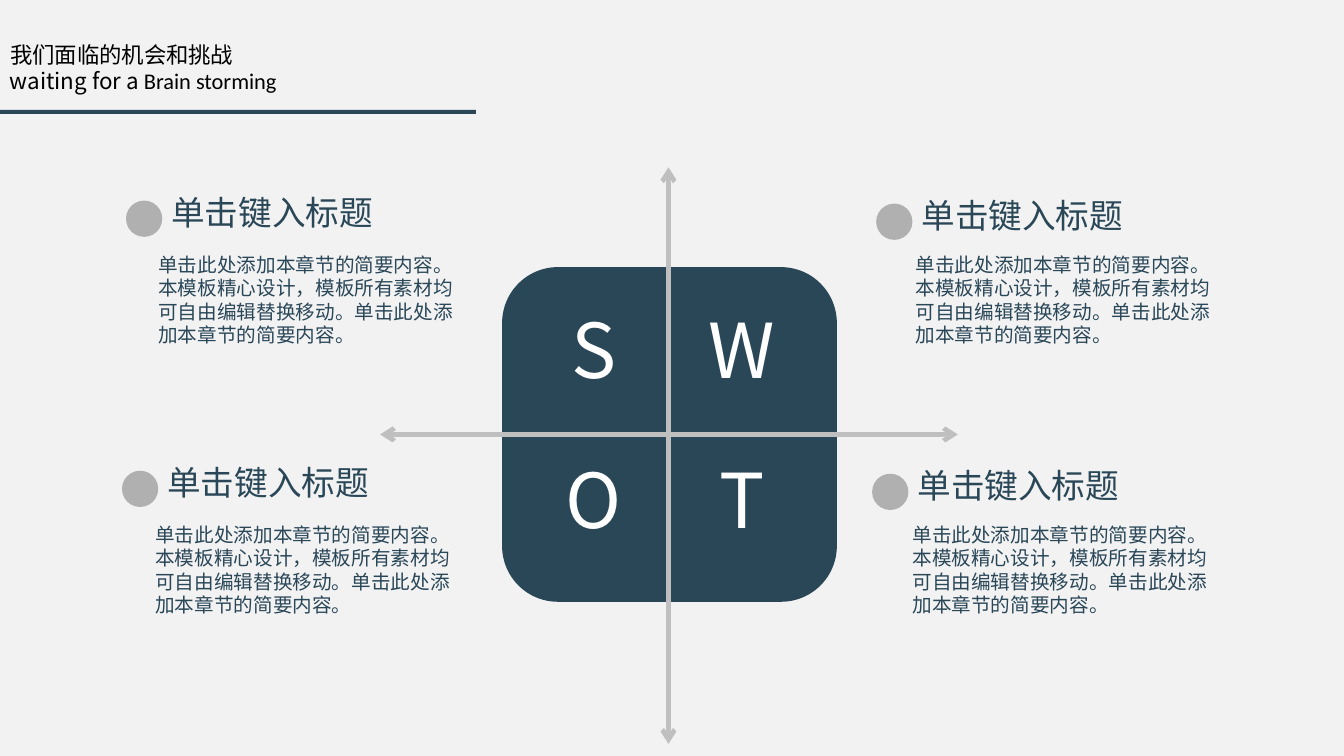
from lxml import etree
from pptx import Presentation
from pptx.dml.color import RGBColor
from pptx.enum.shapes import MSO_CONNECTOR, MSO_SHAPE
from pptx.enum.text import MSO_ANCHOR, MSO_AUTO_SIZE, PP_ALIGN
from pptx.oxml.ns import qn
from pptx.util import Inches, Pt

LINE = MSO_CONNECTOR.STRAIGHT
RECT, ROUND, OVAL = MSO_SHAPE.RECTANGLE, MSO_SHAPE.ROUNDED_RECTANGLE, MSO_SHAPE.OVAL
LEFT, MID = PP_ALIGN.LEFT, PP_ALIGN.CENTER

SANS, LATIN = "Noto Sans CJK SC", "Calibri"
NAVY, GREY, DOT, BACK = "2A4758", "BFBFBF", "B0B0B0", "F2F2F2"
WHITE, BLACK = "FFFFFF", "000000"

TITLE = [("我们面临的机会和挑战", SANS)]
SUB = [("waiting for a ", SANS), ("Brain storming", LATIN)]
HEAD = "单击键入标题"
BODY = "单击此处添加本章节的简要内容。本模板精心设计，模板所有素材均可自由编辑替换移动。单击此处添加本章节的简要内容。"
NOTES = [
    ((1.25, 1.99), (1.57, 2.51)),
    ((1.21, 4.67), (1.54, 5.19)),
    ((8.69, 2.02), (9.08, 2.51)),
    ((8.65, 4.7), (9.05, 5.19)),
]
SWOT = ["SW", "OT"]
AXES = [(3.77, 4.31, 9.5, 4.31), (6.63, 7.38, 6.63, 1.66)]


def color(code):
    return RGBColor.from_string(code)


def shape(kind, box, fill):
    item = slide.shapes.add_shape(kind, *map(Inches, box))
    item.shadow.inherit = False
    item.fill.solid()
    item.fill.fore_color.rgb = color(fill)
    item.line.fill.background()


def write(item, box, runs, size, ink, align=LEFT, pitch=None, pad=0):
    for name, value in zip(("left", "top", "width", "height"), box):
        setattr(item, name, Inches(value))
    frame = item.text_frame
    form = {
        "word_wrap": True, "auto_size": MSO_AUTO_SIZE.NONE,
        "vertical_anchor": MSO_ANCHOR.TOP, "margin_left": Inches(pad),
        "margin_right": Inches(pad), "margin_top": 0, "margin_bottom": 0,
    }
    for name, value in form.items():
        setattr(frame, name, value)
    para = frame.paragraphs[0]
    para.alignment = align
    para.line_spacing = pitch or 1.0
    para.space_before = Pt(0)
    for text, face in runs:
        run = para.add_run()
        run.text = text
        for name, value in {"name": face, "size": Pt(size), "bold": False}.items():
            setattr(run.font, name, value)
        run.font.color.rgb = color(ink)
        etree.SubElement(run.font._element, qn("a:ea"), typeface=SANS)


def label(box, *args, **more):
    write(slide.shapes.add_textbox(0, 0, 0, 0), box, *args, **more)


def axis(ends):
    item = slide.shapes.add_connector(LINE, *map(Inches, ends))
    item.line.color.rgb = color(GREY)
    item.line.width = Pt(3.25)
    for tag in ("a:headEnd", "a:tailEnd"):
        etree.SubElement(item.line._get_or_add_ln(), qn(tag), type="arrow")
    etree.SubElement(item._element.spPr, qn("a:effectLst"))


deck = Presentation()
deck.slide_width, deck.slide_height = Inches(13.33), Inches(7.5)
slide = deck.slides.add_slide(deck.slide_layouts[5])
slide.background.fill.solid()
slide.background.fill.fore_color.rgb = color(BACK)

write(slide.shapes.title, (0, 0.41, 3.83, 0.37), TITLE, 16, BLACK, pad=0.1)
label((0, 0.67, 4.33, 0.37), SUB, 16, BLACK, pad=0.1)
for col in range(2):
    shape(RECT, (col * 2.36, 1.09, 2.36, 0.04), NAVY)

shape(ROUND, (4.98, 2.65, 3.32, 3.32), NAVY)
for ends in AXES:
    axis(ends)
for row, pair in enumerate(SWOT):
    for col, mark in enumerate(pair):
        box = (5.39 + col * 1.47, 3 + row * 1.49, 1, 1.09)
        label(box, [(mark, SANS)], 54, WHITE, align=MID)

for (x, y), (left, top) in NOTES:
    shape(OVAL, (x, y, 0.36, 0.36), DOT)
    label((x + 0.45, y - 0.09, 2.6, 0.49), [(HEAD, SANS)], 24, NAVY)
    label((left, top, 3, 0.95), [(BODY, SANS)], 14, NAVY, pitch=Pt(16.7))

deck.save("out.pptx")
